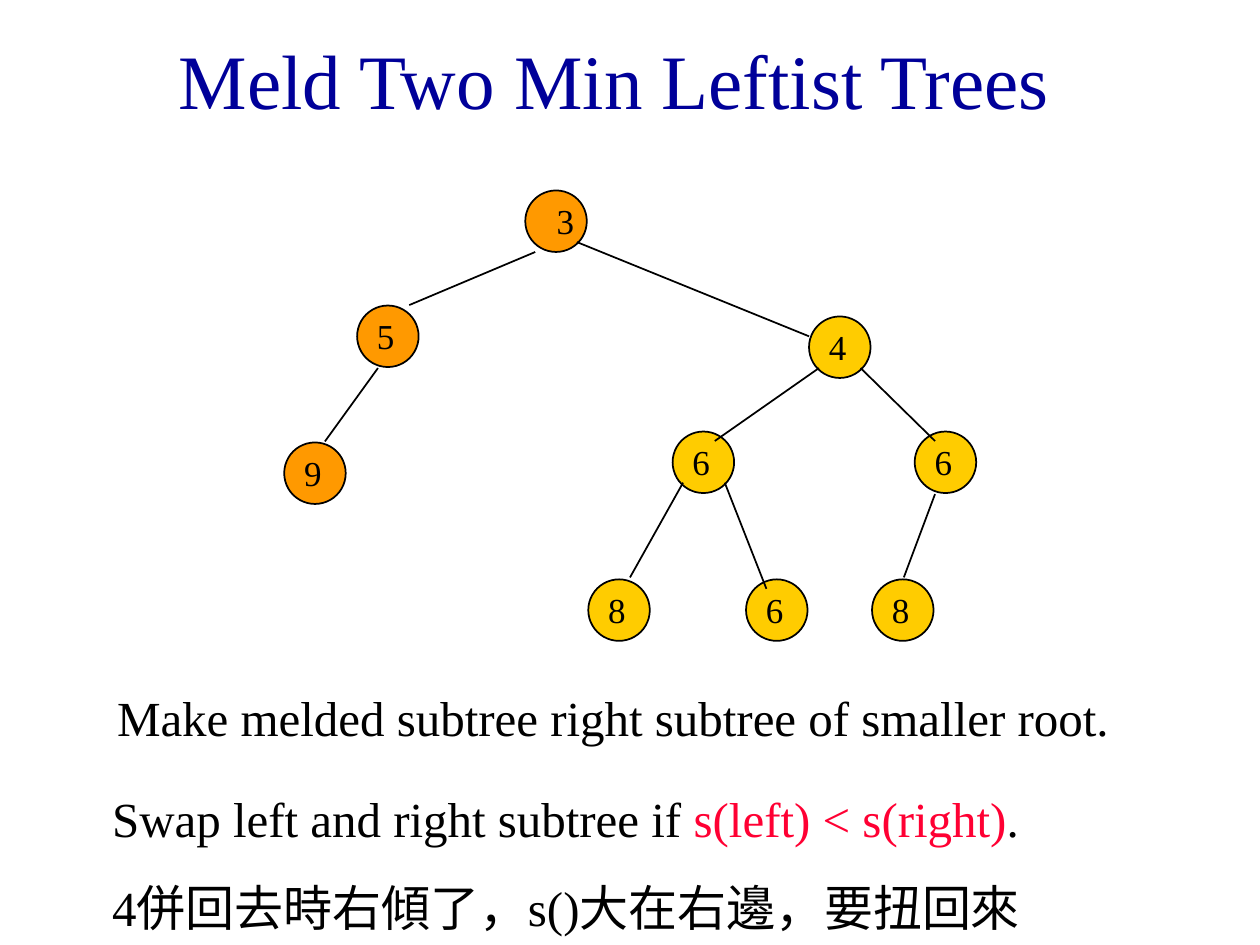
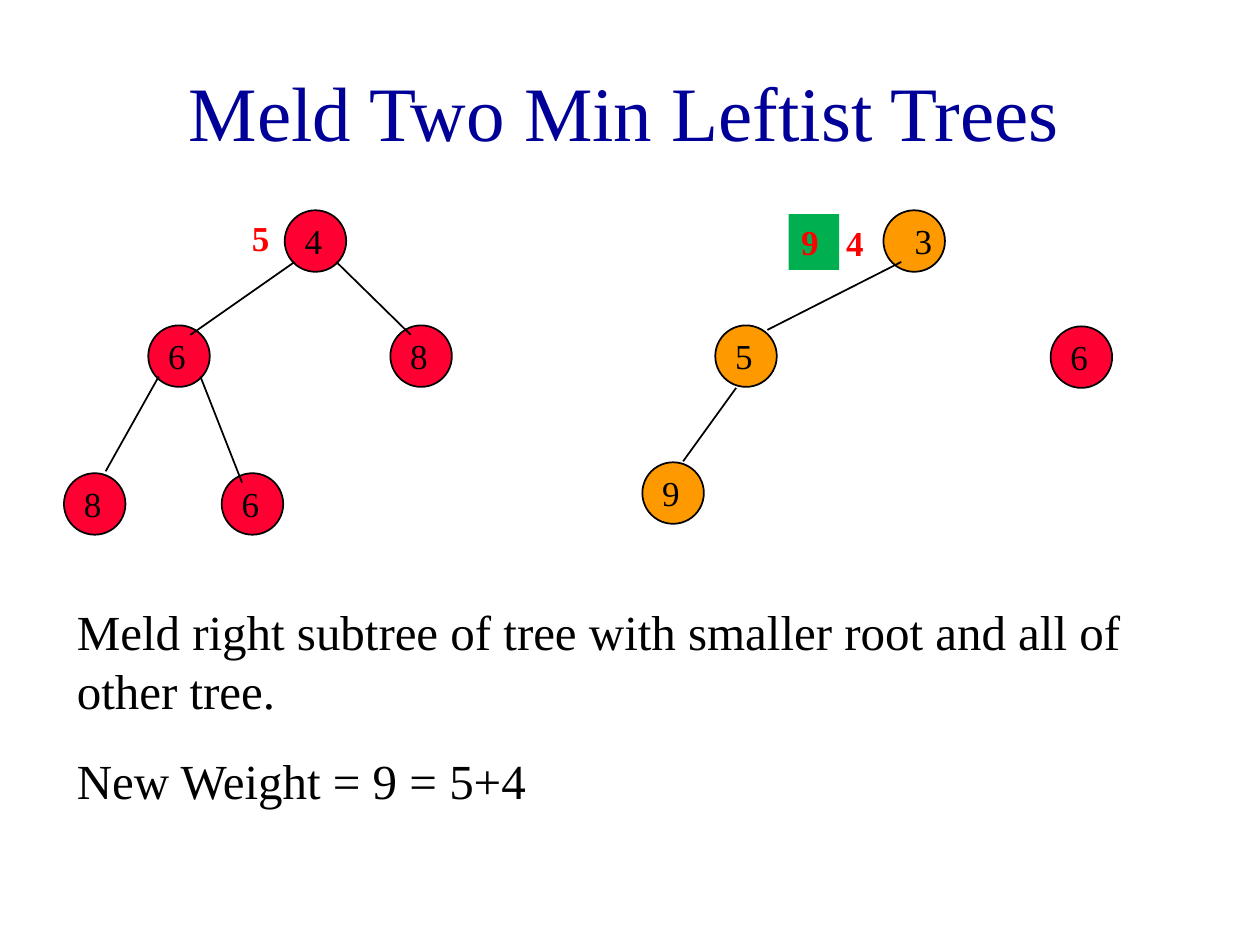
from lxml import etree
from pptx import Presentation
from pptx.dml.color import RGBColor
from pptx.enum.shapes import MSO_CONNECTOR, MSO_SHAPE
from pptx.enum.text import MSO_ANCHOR, PP_ALIGN
from pptx.oxml.ns import qn
from pptx.util import Cm, Pt

STRAIGHT = MSO_CONNECTOR.STRAIGHT
OVAL = MSO_SHAPE.OVAL
RECTANGLE = MSO_SHAPE.RECTANGLE
MIDDLE = MSO_ANCHOR.MIDDLE
TOP = MSO_ANCHOR.TOP
CENTER = PP_ALIGN.CENTER
LEFT = PP_ALIGN.LEFT

FONT = "Times New Roman"
BLACK = "000000"
NAVY = "000099"
ORANGE = "FF9900"
YELLOW = "FFCC00"
CRIMSON = "FF0033"
RED = "FF0000"
GREEN = "00B050"

NODE_SIZE = 1.24
LABEL_SHIFT = 0.15
ROOT_LABEL_SHIFT = 0.38

FULL_EDGES = [
    ((0.2, 1.04), (-1.9, 2.51)),
    ((1.04, 1.04), (2.54, 2.51)),
    ((-2.54, 3.35), (-3.61, 5.26)),
    ((-1.7, 3.35), (-0.86, 5.49)),
]
RIGHT_LEAF = ("8", 1.27, 5.3)
RIGHT_LEAF_EDGE = ((2.54, 3.58), (1.91, 5.26))


def color(value):
    return RGBColor.from_string(value)


def style_font(font, size, font_color, bold=False):
    font.name = FONT
    font.size = Pt(size)
    font.bold = bold
    font.color.rgb = color(font_color)


def add_text(shapes, box, paragraphs, size, font_color=BLACK, bold=False,
             align=LEFT, anchor=TOP, wrap=True, fill=None):
    lengths = [Cm(length) for length in box]
    if fill:
        shape = shapes.add_shape(RECTANGLE, *lengths)
        shape.shadow.inherit = False
        shape.fill.solid()
        shape.fill.fore_color.rgb = color(fill)
        shape.line.fill.background()
    else:
        shape = shapes.add_textbox(*lengths)
    frame = shape.text_frame
    frame.word_wrap = wrap
    frame.vertical_anchor = anchor
    for index, runs in enumerate(paragraphs):
        paragraph = frame.add_paragraph() if index else frame.paragraphs[0]
        paragraph.alignment = align
        if index:
            paragraph.space_before = Pt(17.5)
        style_font(paragraph.font, size, font_color, bold)
        for text, run_color in runs:
            run = paragraph.add_run()
            run.text = text
            style_font(run.font, size, run_color or font_color, bold)


def add_title(slide, left, top):
    add_text(slide.shapes, (left, top, 24.77, 3.18),
             [[("Meld Two Min Leftist Trees", None)]],
             44, NAVY, align=CENTER, anchor=MIDDLE)


def add_body(slide, box, paragraphs):
    add_text(slide.shapes, box, paragraphs, 28)


def add_edge(shapes, left, top, start, end):
    edge = shapes.add_connector(
        STRAIGHT, Cm(left + start[0]), Cm(top + start[1]),
        Cm(left + end[0]), Cm(top + end[1]))
    edge.line.color.rgb = color(BLACK)
    edge.line.width = Pt(1)
    etree.SubElement(edge.element.spPr, qn("a:effectLst"))


def add_tree(shapes, left, top, nodes, edges, fill, root_shift=LABEL_SHIFT):
    for _, x, y in nodes:
        node = shapes.add_shape(OVAL, Cm(left + x), Cm(top + y),
                                Cm(NODE_SIZE), Cm(NODE_SIZE))
        node.shadow.inherit = False
        node.fill.solid()
        node.fill.fore_color.rgb = color(fill)
        node.line.color.rgb = color(BLACK)
        node.line.width = Pt(1)
    for start, end in edges:
        add_edge(shapes, left, top, start, end)
    for index, (value, x, y) in enumerate(nodes):
        shift = LABEL_SHIFT if index else root_shift
        add_text(shapes, (left + x + shift, top + y + 0.06, 0.86, 1.09),
                 [[(value, None)]], 20, wrap=False)


def full_nodes(right_value):
    return [("4", 0, 0), ("6", -2.75, 2.32), (right_value, 2.13, 2.32),
            ("8", -4.45, 5.3), ("6", -1.27, 5.3)]


def add_left_chain(shapes, left, top, root_edge):
    nodes = [("3", 0, 0), ("5", -3.39, 2.32), ("9", -4.86, 5.08)]
    edges = [root_edge, ((-2.97, 3.58), (-4.04, 5.06))]
    add_tree(shapes, left, top, nodes, edges, ORANGE, ROOT_LABEL_SHIFT)


def add_weight(slide, left, top, value, fill=None):
    add_text(slide.shapes, (left, top, 1.02, 1.12), [[(value, None)]],
             20, RED, bold=True, fill=fill)


def build_melded_slide(slide):
    add_title(slide, 0, 0)
    add_left_chain(slide.shapes.add_group_shape().shapes, 10.59, 3.84,
                   ((0.2, 1.24), (-2.34, 2.31)))
    add_body(slide, (2.01, 15.77, 20.75, 3.25), [
        [("Swap left and right subtree if ", None),
         ("s(left) < s(right)", CRIMSON), (".", None)],
        [("4併回去時右傾了，s()大在右邊，要扭回來", None)],
    ])
    add_body(slide, (2.11, 13.74, 22.23, 1.45), [
        [("Make melded subtree right subtree of smaller root.", None)],
    ])
    add_tree(slide.shapes.add_group_shape().shapes, 16.31, 6.38,
             full_nodes("6") + [RIGHT_LEAF],
             FULL_EDGES + [RIGHT_LEAF_EDGE], YELLOW)
    add_edge(slide.shapes, 0, 0, (11.63, 4.88), (16.31, 6.78))


def build_weights_slide(slide):
    add_title(slide, 0.2, 0.64)
    add_tree(slide.shapes, 5.74, 4.24, full_nodes("8"), FULL_EDGES, CRIMSON)
    add_left_chain(slide.shapes, 17.81, 4.24, ((0.36, 1.04), (-2.34, 2.41)))
    add_tree(slide.shapes, 21.18, 6.58, [("6", 0, 0)], [], CRIMSON)
    add_body(slide, (1.3, 12.01, 22.23, 4.42), [
        [("Meld right subtree of tree with smaller root and all of "
          "other tree.", None)],
        [("New Weight = 9 = 5+4", None)],
    ])
    add_weight(slide, 15.9, 4.32, "9", GREEN)
    add_weight(slide, 4.83, 4.24, "5")
    add_weight(slide, 16.81, 4.34, "4")


def main():
    presentation = Presentation()
    presentation.slide_width = Cm(25.4)
    presentation.slide_height = Cm(19.05)
    blank = presentation.slide_layouts[6]
    for build in (build_melded_slide, build_weights_slide):
        build(presentation.slides.add_slide(blank))
    presentation.save("out.pptx")


if __name__ == "__main__":
    main()
